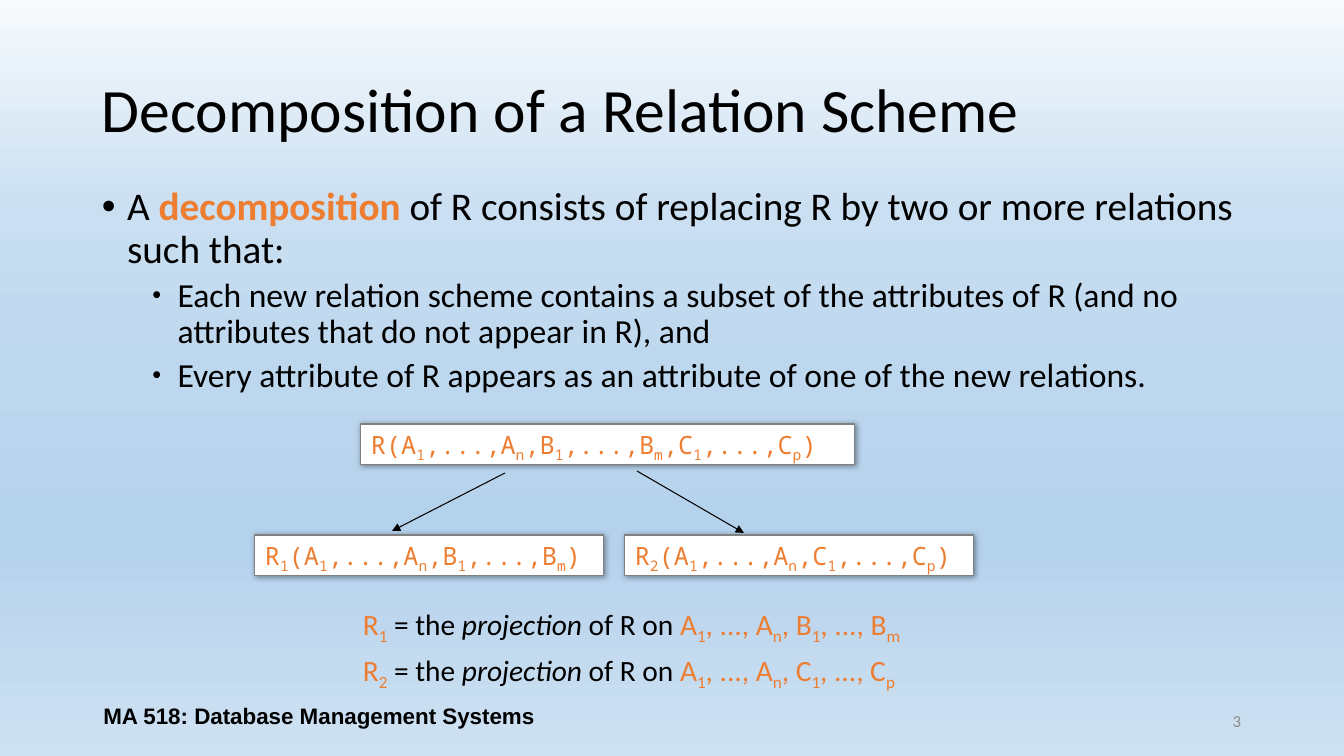
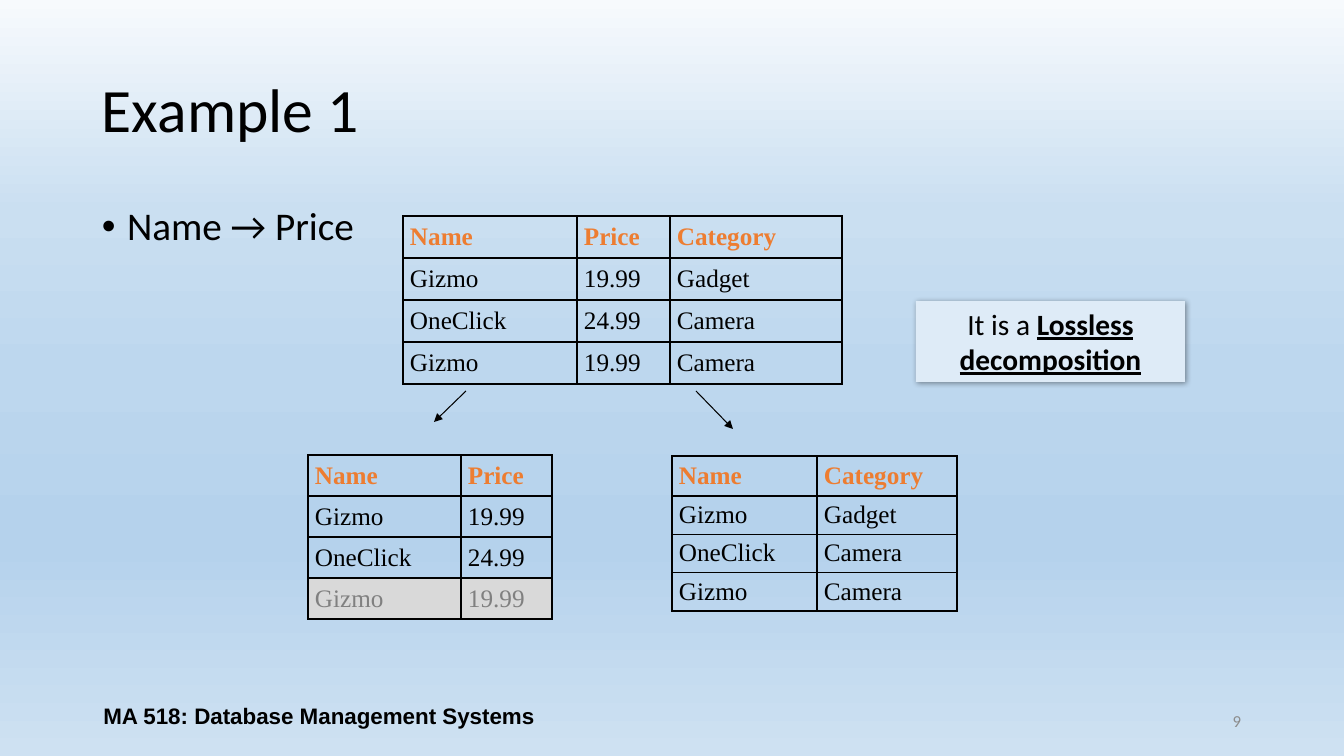
from pptx import Presentation
from pptx.dml.color import RGBColor
from pptx.enum.shapes import MSO_CONNECTOR, MSO_SHAPE
from pptx.enum.text import MSO_ANCHOR as ANCHOR, PP_ALIGN as ALIGN
from pptx.oxml import parse_xml
from pptx.oxml.ns import nsdecls, qn
from pptx.util import Emu, Pt
from lxml.etree import SubElement

PX = 914400 / 100.8
COLORS = {
    "text": "000000", "accent": "ED7D31", "page": "8C8C8C", "muted": "808080",
    "duplicate": "D9D9D9", "card": "FFFFFF", "callout": "DEEBF7",
}
SKY = [(0, "F7FAFD"), (28, "CADFF1"), (49, "BDD7EE"),
       (71, "B5D2EC"), (72, "B5D2EC"), (100, "CEE1F2")]
MONO = "Noto Sans Mono"


def px(*lengths):
    return [Emu(round(length * PX)) for length in lengths]


def write(frame, pieces, size, font="Calibri", align=ALIGN.LEFT, more=False):
    paragraph = frame.add_paragraph() if more else frame.paragraphs[0]
    paragraph.alignment = align
    for text, color, marks in pieces:
        plain, *indexed = text.split("_")
        parts = [(plain, False)]
        for part in indexed:
            parts += [(part[0], True), (part[1:], False)]
        for words, lowered in parts:
            if not words:
                continue
            run = paragraph.add_run()
            run.text = words
            run.font.size = Pt(size)
            run.font.name = font
            run.font.color.rgb = RGBColor.from_string(COLORS[color])
            run.font.bold = "b" in marks
            run.font.italic = "i" in marks
            run.font.underline = "u" in marks
            if lowered:
                run.font._element.set("baseline", "-25000")
    return paragraph


prs = Presentation()
prs.slide_width, prs.slide_height = px(1344, 756)

sky = prs.slide_master.background.fill
sky.gradient()
sky.gradient_angle = 270
stops = prs.slide_master.element.find(".//" + qn("a:gsLst"))
for stop in list(stops):
    stops.remove(stop)
for position, color in SKY:
    stop = SubElement(stops, qn("a:gs"), pos=str(position * 1000))
    SubElement(stop, qn("a:srgbClr"), val=color)

decomposition, example = [prs.slides.add_slide(prs.slide_layouts[6]) for _ in range(2)]

pages = [
    (decomposition, "Decomposition of a Relation Scheme", "3", 182, [
        (0, [("A ", "text", ""), ("decomposition ", "accent", "b"),
             ("of R consists of replacing R by two or more relations such that:", "text", "")]),
        (1, [("Each new relation scheme contains a subset of the attributes of R "
              "(and no attributes that do not appear in R), and", "text", "")]),
        (1, [("Every attribute of R appears as an attribute of one of the new relations.",
              "text", "")]),
    ]),
    (example, "Example 1", "9", 202, [(0, [("Name → Price", "text", "")])]),
]
for slide, title, number, body_top, points in pages:
    frames = []
    for box, anchor in [
        ((92, 40, 1159, 146), ANCHOR.MIDDLE),
        ((92, body_top, 1159, 480), ANCHOR.TOP),
        ((949, 701, 302, 40), ANCHOR.MIDDLE),
        ((92, 696, 454, 40), ANCHOR.MIDDLE),
    ]:
        frame = slide.shapes.add_textbox(*px(*box)).text_frame
        frame.word_wrap = True
        frame.vertical_anchor = anchor
        frames.append(frame)
    heading, body, page, course = frames

    write(heading, [(title, "text", "")], 44).line_spacing = 0.9
    write(page, [(number, "page", "")], 12, align=ALIGN.RIGHT)
    write(course, [("MA 518: Database Management Systems", "text", "b")], 16, "Arial", ALIGN.CENTER)

    for order, (level, pieces) in enumerate(points):
        point = write(body, pieces, 24 if level else 28, more=order > 0)
        point.level = level
        point.line_spacing = 0.9
        point.space_before = Pt(5 if level else 10)
        props = point._p.get_or_add_pPr()
        props.set("marL", str(685800 if level else 228600))
        props.set("indent", "-228600")
        SubElement(props, qn("a:buSzPct"), val="75000" if level else "100000")
        SubElement(props, qn("a:buFont"), typeface="Arial")
        SubElement(props, qn("a:buChar"), char="•")

for top, relation, attributes in [
    (601, "R_1", "A_1, ..., A_n, B_1, ..., B_m"),
    (647, "R_2", "A_1, ..., A_n, C_1, ..., C_p"),
]:
    projection = decomposition.shapes.add_textbox(*px(353, top, 567, 45)).text_frame
    projection.word_wrap = True
    write(projection, [(relation, "accent", ""), (" = the ", "text", ""),
                       ("projection", "text", "i"), (" of R on ", "text", ""),
                       (attributes, "accent", "")], 21)

cards = [
    (decomposition, (361, 424, 494, 41), "card",
     [("R(A_1,...,A_n,B_1,...,B_m,C_1,...,C_p)", "accent", "")]),
    (decomposition, (255, 535, 349, 41), "card",
     [("R_1(A_1,...,A_n,B_1,...,B_m)", "accent", "")]),
    (decomposition, (625, 535, 349, 41), "card",
     [("R_2(A_1,...,A_n,C_1,...,C_p)", "accent", "")]),
    (example, (916, 301, 269, 81), "callout",
     [("It is a ", "text", ""), ("Lossless decomposition", "text", "bu")]),
]
for slide, box, kind, pieces in cards:
    card = slide.shapes.add_shape(MSO_SHAPE.RECTANGLE, *px(*box))
    card.fill.solid()
    card.fill.fore_color.rgb = RGBColor.from_string(COLORS[kind])
    card.text_frame.word_wrap = True
    card.text_frame.vertical_anchor = ANCHOR.TOP
    if kind == "card":
        card.line.color.rgb = RGBColor.from_string(COLORS["muted"])
        card.line.width = Pt(0.75)
        write(card.text_frame, pieces, 18, MONO)
    else:
        card.line.fill.background()
        write(card.text_frame, pieces, 21, align=ALIGN.CENTER)
    card.shadow.inherit = False
    effects = card._element.spPr.find(qn("a:effectLst"))
    effects.append(parse_xml(
        f'<a:outerShdw {nsdecls("a")} blurRad="50800" dist="12700" dir="2700000" algn="tl" '
        'rotWithShape="0"><a:srgbClr val="000000"><a:alpha val="40000"/></a:srgbClr></a:outerShdw>'))

tables = [
    ((403, 216), (174, 93, 172), (42, 42), [
        ("Name", "Price", "Category"), ("Gizmo", "19.99", "Gadget"),
        ("OneClick", "24.99", "Camera"), ("Gizmo", "19.99", "Camera")], None),
    ((308, 455), (153, 91), (41, 41), [
        ("Name", "Price"), ("Gizmo", "19.99"),
        ("OneClick", "24.99"), ("Gizmo", "19.99")], 3),
    ((672, 456), (145, 140), (40, 37), [
        ("Name", "Category"), ("Gizmo", "Gadget"),
        ("OneClick", "Camera"), ("Gizmo", "Camera")], None),
]
for corner, widths, (header_height, row_height), rows, duplicate in tables:
    heights = [header_height] + [row_height] * (len(rows) - 1)
    relation = example.shapes.add_table(
        len(rows), len(widths), *px(*corner, sum(widths), sum(heights))).table
    relation.first_row = relation.horz_banding = False
    for column, width in zip(relation.columns, px(*widths)):
        column.width = width
    for row, height in zip(relation.rows, px(*heights)):
        row.height = height
    for r, values in enumerate(rows):
        for c, value in enumerate(values):
            cell = relation.cell(r, c)
            cell.vertical_anchor = ANCHOR.MIDDLE
            cell.margin_left, cell.margin_right = px(7, 7)
            cell.margin_top, cell.margin_bottom = px(4, 4)
            color = "accent" if r == 0 else "muted" if r == duplicate else "text"
            write(cell.text_frame, [(value, color, "" if r else "b")], 18, "Times New Roman")
            if r == duplicate:
                cell.fill.solid()
                cell.fill.fore_color.rgb = RGBColor.from_string(COLORS["duplicate"])
            else:
                cell.fill.background()
            thick = {"lnL": c == 0, "lnR": c == len(widths) - 1,
                     "lnT": r < 2, "lnB": r in (0, len(rows) - 1)}
            props = cell._tc.get_or_add_tcPr()
            for place, (side, heavy) in enumerate(thick.items()):
                props.insert(place, parse_xml(
                    f'<a:{side} {nsdecls("a")} w="{Pt(1.5 if heavy else 1)}"><a:solidFill>'
                    f'<a:srgbClr val="{COLORS["text"]}"/></a:solidFill></a:{side}>'))

for slide, ends in [
    (decomposition, (505, 473, 392, 531)),
    (decomposition, (637, 471, 744, 533)),
    (example, (466, 391, 434, 422)),
    (example, (696, 391, 733, 429)),
]:
    arrow = slide.shapes.add_connector(MSO_CONNECTOR.STRAIGHT, *px(*ends))
    arrow.line.color.rgb = RGBColor.from_string(COLORS["text"])
    arrow.line.width = Pt(0.75)
    SubElement(arrow.line._get_or_add_ln(), qn("a:tailEnd"), type="triangle")
    SubElement(arrow._element.spPr, qn("a:effectLst"))

prs.save("out.pptx")
